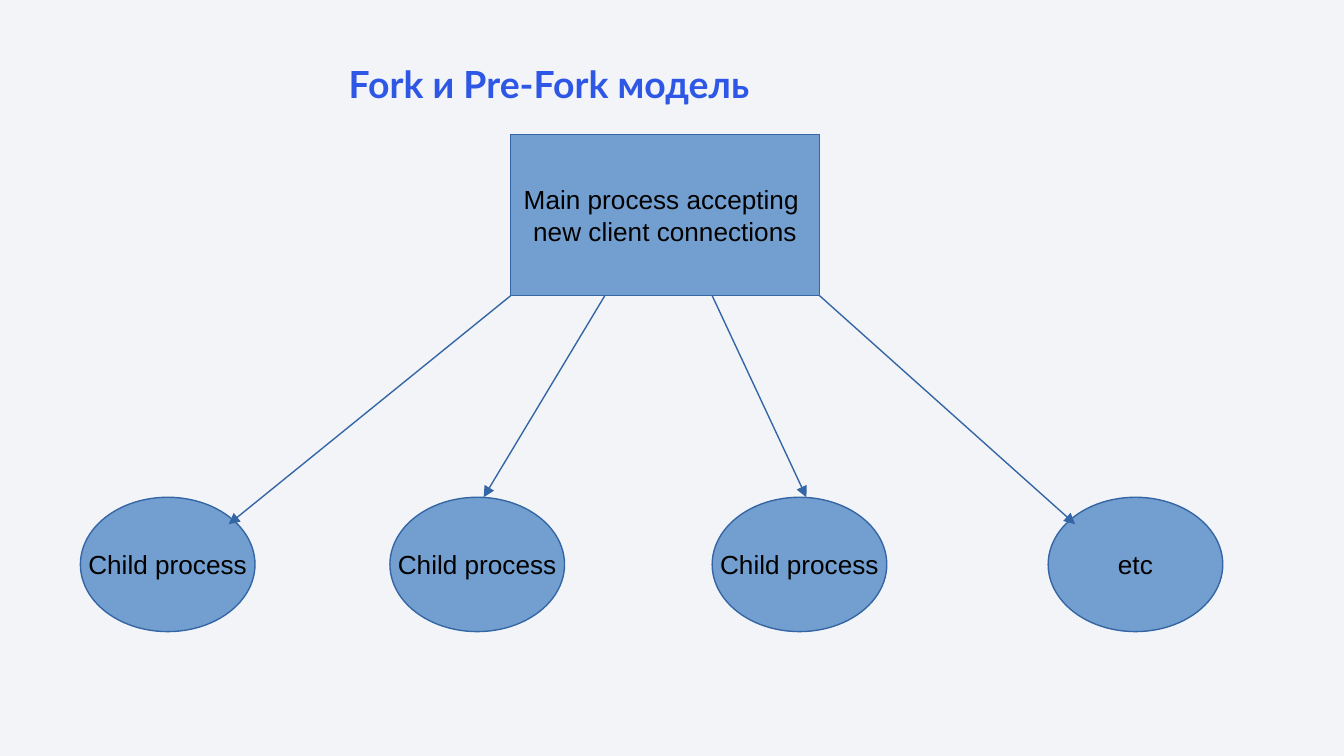
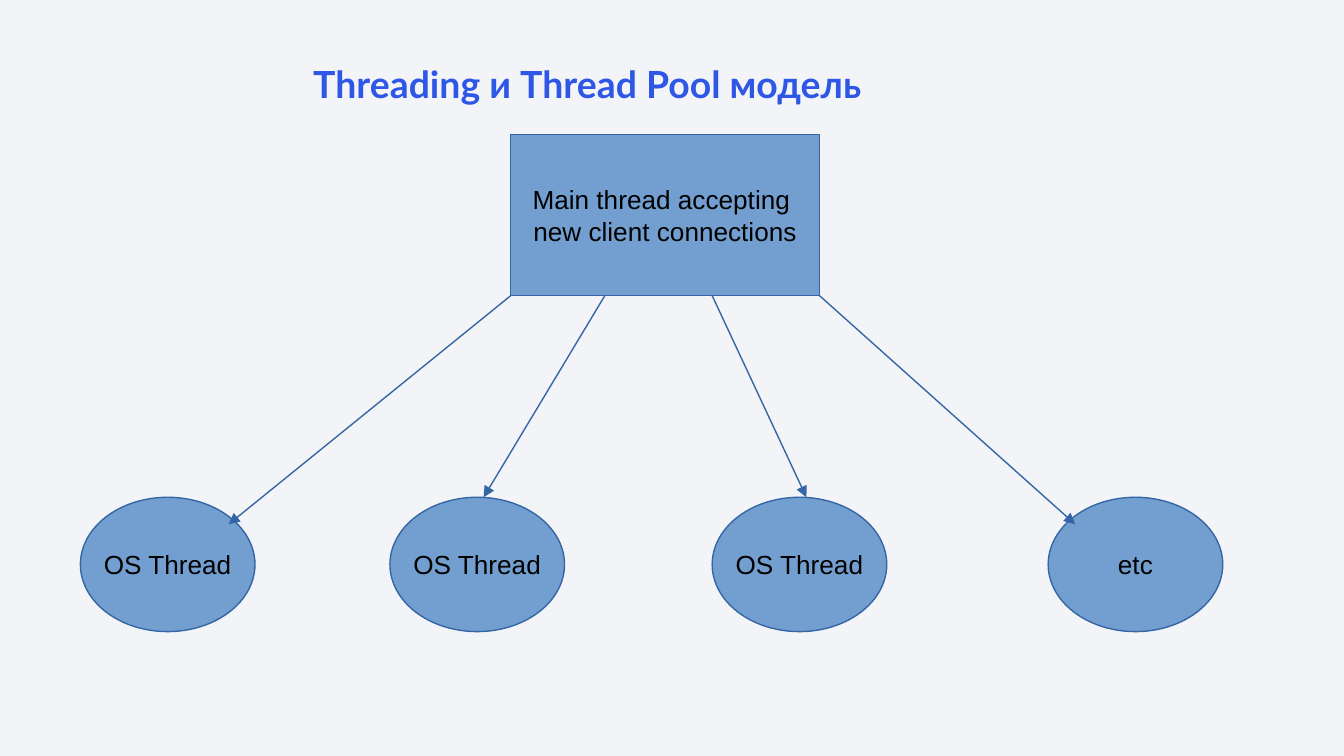
from lxml.etree import SubElement
from pptx import Presentation
from pptx.dml.color import RGBColor
from pptx.enum.shapes import MSO_CONNECTOR, MSO_SHAPE
from pptx.enum.text import MSO_ANCHOR, MSO_AUTO_SIZE, PP_ALIGN
from pptx.oxml.ns import qn
from pptx.util import Cm, Pt

SLIDES = [
    {
        "title": "Fork и Pre-Fork модель",
        "title_indent": 3.55,
        "main": ["Main process accepting ", "new client connections"],
        "workers": ["Child process"] * 3 + ["etc"],
    },
    {
        "title": "Threading и Thread Pool модель",
        "title_indent": 2.88,
        "main": ["Main thread accepting ", "new client connections"],
        "workers": ["OS Thread"] * 3 + ["etc"],
    },
]

BACKGROUND = RGBColor(0xF2, 0xF4, 0xF8)
TITLE_BLUE = RGBColor(0x2E, 0x57, 0xE5)
NODE_FILL = RGBColor(0x72, 0x9F, 0xCF)
NODE_LINE = RGBColor(0x34, 0x65, 0xA4)
BLACK = RGBColor(0, 0, 0)

SLIDE_WIDTH, SLIDE_HEIGHT = 25.4, 14.29
TITLE_BOX = (2.79, 0.91, 19.58, 2.9)
MAIN_LEFT, MAIN_TOP, MAIN_WIDTH, MAIN_HEIGHT = 9.65, 2.54, 5.84, 3.05
MAIN_RIGHT, MAIN_BOTTOM = MAIN_LEFT + MAIN_WIDTH, MAIN_TOP + MAIN_HEIGHT
WORKER_TOP, WORKER_WIDTH, WORKER_HEIGHT = 9.4, 3.3, 2.54
WORKER_LEFTS = [1.52, 7.37, 13.46, 19.81]
ARROW_STARTS = [MAIN_LEFT, 11.43, 13.46, MAIN_RIGHT]
ARROW_ENDS = [(4.32, 9.91), (9.14, WORKER_TOP), (15.24, WORKER_TOP), (20.32, 9.91)]


def add_run(paragraph, text, font_name, size, color, bold=False):
    run = paragraph.add_run()
    run.text = text
    run.font.name = font_name
    run.font.size = Pt(size)
    run.font.color.rgb = color
    run.font.bold = bold


def set_margins(text_frame, horizontal, vertical):
    text_frame.margin_left = text_frame.margin_right = Cm(horizontal)
    text_frame.margin_top = text_frame.margin_bottom = Cm(vertical)


def set_title(slide, text, indent):
    title = slide.shapes.title
    title.left, title.top, title.width, title.height = map(Cm, TITLE_BOX)
    text_frame = title.text_frame
    text_frame.auto_size = MSO_AUTO_SIZE.NONE
    text_frame.word_wrap = True
    text_frame.vertical_anchor = MSO_ANCHOR.TOP
    set_margins(text_frame, 0.25, 0.25)
    paragraph = text_frame.paragraphs[0]
    paragraph.alignment = PP_ALIGN.LEFT
    paragraph_properties = paragraph._p.get_or_add_pPr()
    paragraph_properties.set("marL", str(Cm(indent)))
    paragraph_properties.set("indent", "0")
    add_run(paragraph, text, "Lato", 20, TITLE_BLUE, bold=True)


def add_node(slide, preset, box, lines):
    shape = slide.shapes.add_shape(preset, *map(Cm, box))
    shape.shadow.inherit = False
    shape.fill.solid()
    shape.fill.fore_color.rgb = NODE_FILL
    shape.line.color.rgb = NODE_LINE
    shape.line.width = Pt(0.75)
    text_frame = shape.text_frame
    text_frame.word_wrap = False
    text_frame.vertical_anchor = MSO_ANCHOR.MIDDLE
    set_margins(text_frame, 0.25, 0.13)
    for index, line in enumerate(lines):
        paragraph = text_frame.add_paragraph() if index else text_frame.paragraphs[0]
        paragraph.alignment = PP_ALIGN.CENTER
        add_run(paragraph, line, "Arial", 14, BLACK)


def add_arrow(slide, start, end):
    connector = slide.shapes.add_connector(
        MSO_CONNECTOR.STRAIGHT, *map(Cm, (*start, *end))
    )
    connector.line.color.rgb = NODE_LINE
    connector.line.width = Pt(0.75)
    shape_properties = connector._element.spPr
    SubElement(shape_properties.find(qn("a:ln")), qn("a:tailEnd"), type="triangle")
    SubElement(shape_properties, qn("a:effectLst"))


def add_model_slide(presentation, content):
    slide = presentation.slides.add_slide(
        presentation.slide_layouts.get_by_name("Title Only")
    )
    set_title(slide, content["title"], content["title_indent"])
    main_box = (MAIN_LEFT, MAIN_TOP, MAIN_WIDTH, MAIN_HEIGHT)
    add_node(slide, MSO_SHAPE.RECTANGLE, main_box, content["main"])
    for left, label in zip(WORKER_LEFTS, content["workers"]):
        worker_box = (left, WORKER_TOP, WORKER_WIDTH, WORKER_HEIGHT)
        add_node(slide, MSO_SHAPE.OVAL, worker_box, [label])
    for start_left, end in zip(ARROW_STARTS, ARROW_ENDS):
        add_arrow(slide, (start_left, MAIN_BOTTOM), end)


def main():
    presentation = Presentation()
    presentation.slide_width = Cm(SLIDE_WIDTH)
    presentation.slide_height = Cm(SLIDE_HEIGHT)
    background = presentation.slide_master.background.fill
    background.solid()
    background.fore_color.rgb = BACKGROUND
    for content in SLIDES:
        add_model_slide(presentation, content)
    presentation.save("out.pptx")


if __name__ == "__main__":
    main()
